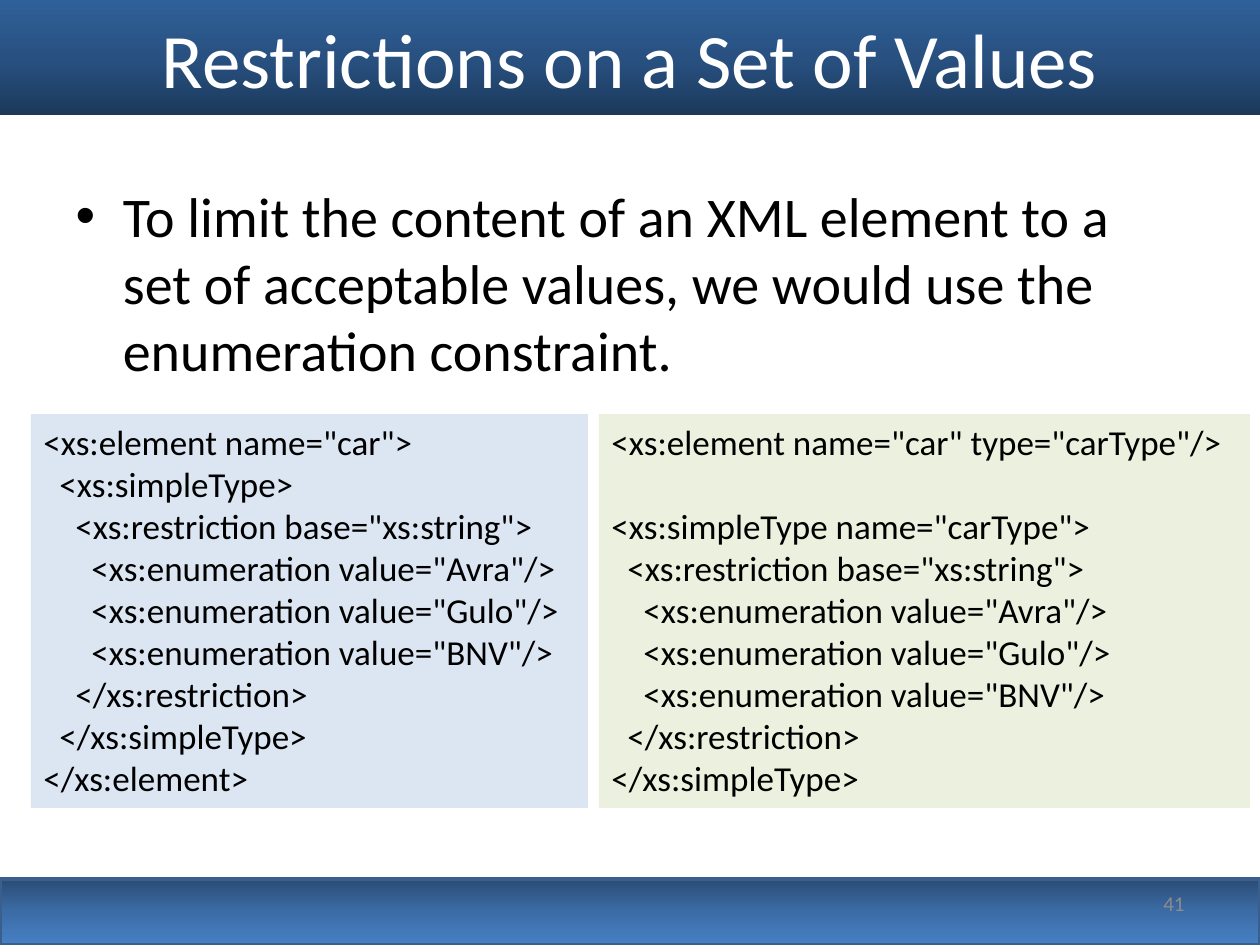
"""Build the slide on restricting an XML element to a set of values."""
from copy import deepcopy

from pptx import Presentation
from pptx import util as u
from pptx.dml.color import RGBColor
from pptx.enum import shapes, text
from pptx.oxml import ns

PX = 914400 / 126
WHITE = RGBColor(0xFF, 0xFF, 0xFF)
BLACK = RGBColor(0x00, 0x00, 0x00)
GRAY = RGBColor(0x8C, 0x8C, 0x8C)
FOOTER_LINE = RGBColor(0x3A, 0x5F, 0x8C)
FOOTER_STOPS = [RGBColor(0x2A, 0x4C, 0x75), RGBColor(0x3C, 0x6C, 0xA6), RGBColor(0x47, 0x80, 0xC5)]
TITLE_STOPS = [RGBColor(0x1C, 0x39, 0x5B), RGBColor(0x28, 0x51, 0x81), RGBColor(0x30, 0x60, 0x99)]
LIGHT_BLUE = RGBColor(0xDC, 0xE6, 0xF2)
LIGHT_GREEN = RGBColor(0xEB, 0xF1, 0xDE)


def emu(*lengths):
    return [u.Emu(round(length * PX)) for length in lengths]


def add_run(paragraph, words, size, color):
    run = paragraph.add_run()
    run.text = words
    run.font.name = "Calibri"
    run.font.size = u.Pt(size)
    run.font.color.rgb = color


presentation = Presentation()
presentation.slide_width, presentation.slide_height = emu(1260, 945)
slide = presentation.slides.add_slide(presentation.slide_layouts[1])
title, body = slide.placeholders

footer = slide.shapes.add_shape(shapes.MSO_SHAPE.RECTANGLE, *emu(0, 879, 1260, 66))
footer.shadow.inherit = False
footer.line.color.rgb = FOOTER_LINE
footer.line.width = u.Pt(2)

title.left, title.top, title.width, title.height = emu(0, 0, 1260, 115)
title.text_frame.vertical_anchor = text.MSO_ANCHOR.MIDDLE
title_paragraph = title.text_frame.paragraphs[0]
title_paragraph.alignment = text.PP_ALIGN.CENTER
add_run(title_paragraph, "Restrictions on a Set of Values", 44, WHITE)

for bar, colors, angle in [(footer, FOOTER_STOPS, 270), (title, TITLE_STOPS, 90)]:
    bar.fill.gradient()
    bar.fill.gradient_angle = angle
    stop_list = bar._element.spPr.find(".//" + ns.qn("a:gsLst"))
    stop_list.insert(1, deepcopy(stop_list[0]))
    for stop, color, position in zip(bar.fill.gradient_stops, colors, (0, 0.5, 1)):
        stop.color.rgb = color
        stop.position = position

body.left, body.top, body.width, body.height = emu(63, 175, 1134, 669)
add_run(
    body.text_frame.paragraphs[0],
    "To limit the content of an XML element to a set of acceptable values, "
    "we would use the enumeration constraint.",
    32,
    BLACK,
)

page_number = slide.shapes.add_textbox(*emu(903, 878, 294, 50))
page_number.text_frame.word_wrap = True
page_number.text_frame.vertical_anchor = text.MSO_ANCHOR.MIDDLE
number_paragraph = page_number.text_frame.paragraphs[0]
number_paragraph.alignment = text.PP_ALIGN.RIGHT
add_run(number_paragraph, "41", 12, GRAY)

values = [f'<xs:enumeration value="{name}"/>' for name in ("Avra", "Gulo", "BNV")]
restriction = '<xs:restriction base="xs:string">'
inline_type = [
    (0, '<xs:element name="car">'),
    (1, "<xs:simpleType>"),
    (2, restriction),
    *[(3, value) for value in values],
    (2, "</xs:restriction>"),
    (1, "</xs:simpleType>"),
    (0, "</xs:element>"),
]
named_type = [
    (0, '<xs:element name="car" type="carType"/>'),
    (0, '<xs:simpleType name="carType">'),
    (1, restriction),
    *[(2, value) for value in values],
    (1, "</xs:restriction>"),
    (0, "</xs:simpleType>"),
]
for left, width, color, lines, gap in [
    (31, 557, LIGHT_BLUE, inline_type, 0),
    (599, 651, LIGHT_GREEN, named_type, 24),
]:
    code = slide.shapes.add_textbox(*emu(left, 414, width, 394))
    code.fill.solid()
    code.fill.fore_color.rgb = color
    frame = code.text_frame
    frame.word_wrap = True
    frame.auto_size = text.MSO_AUTO_SIZE.SHAPE_TO_FIT_TEXT
    for index, (depth, line) in enumerate(lines):
        paragraph = frame.add_paragraph() if index else frame.paragraphs[0]
        paragraph._p.get_or_add_pPr().set("marL", str(emu(16 * depth)[0]))
        if index == 1:
            paragraph.space_before = u.Pt(gap)
        add_run(paragraph, line, 20, BLACK)

presentation.save("out.pptx")
